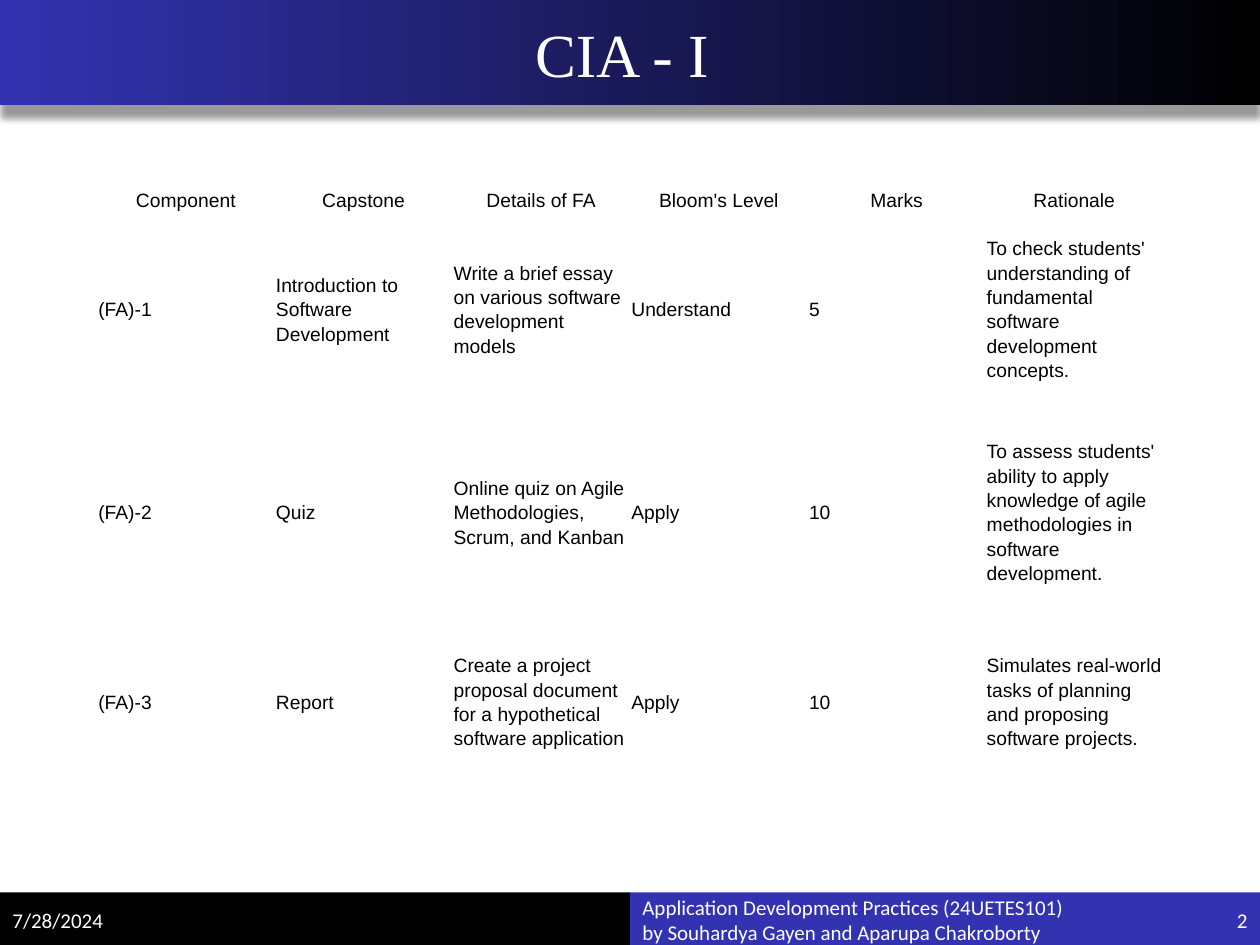
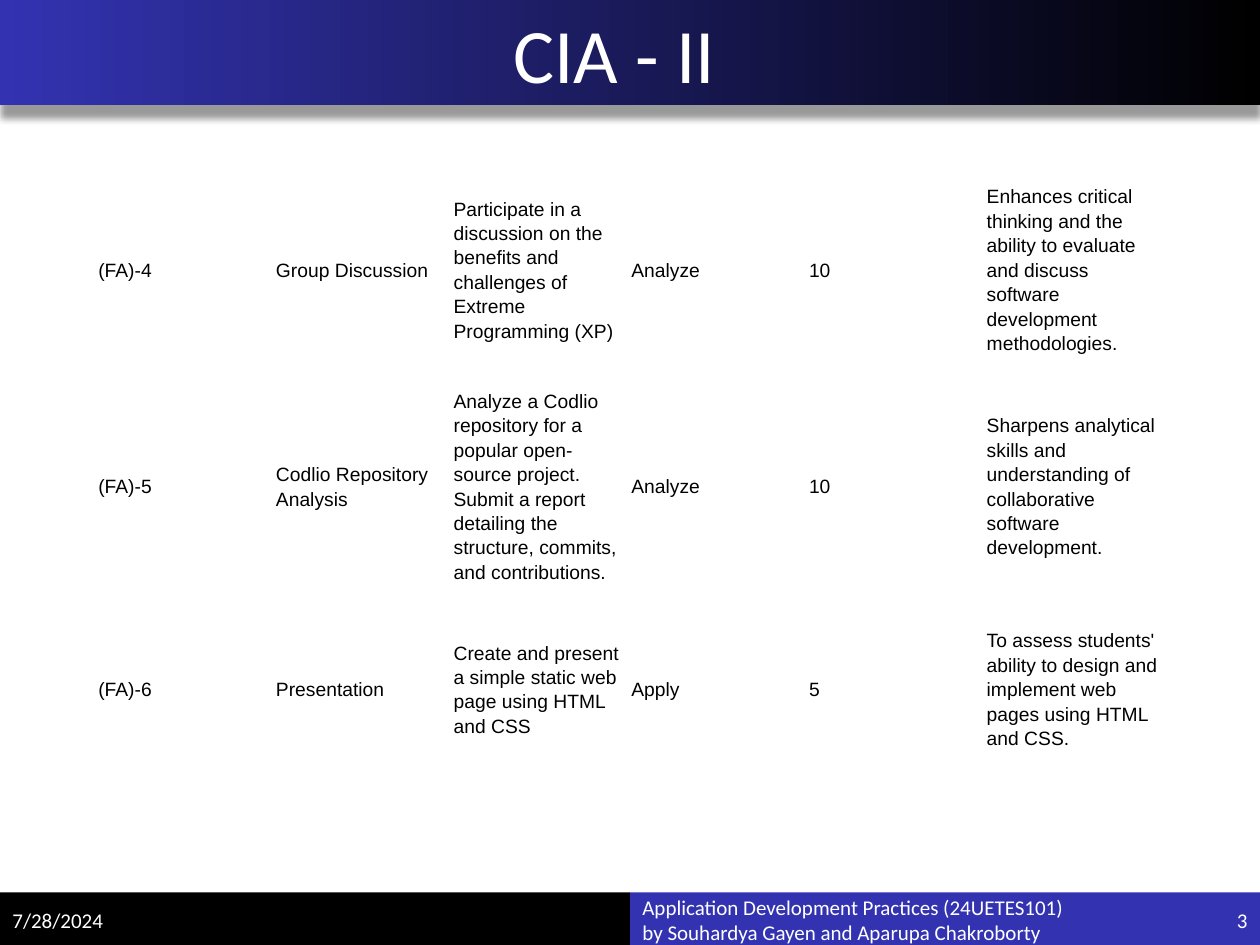
from dataclasses import dataclass

from lxml.etree import SubElement
from pptx import Presentation
from pptx.dml.color import RGBColor as Rgb
from pptx.enum.shapes import MSO_SHAPE as Kind
from pptx.enum.text import MSO_ANCHOR as Anchor, PP_ALIGN as Align
from pptx.oxml.ns import qn
from pptx.shapes.autoshape import Shape
from pptx.slide import Slide
from pptx.util import Pt


@dataclass(frozen=True)
class Theme:
    blue: Rgb = Rgb(0x33, 0x33, 0xB2)
    black: Rgb = Rgb(0, 0, 0)
    white: Rgb = Rgb(255, 255, 255)
    sans: str = "Calibri"
    serif: str = "Times New Roman"
    body: str = "Arial"
    foot_size: float = 12
    cell_size: float = 11


@dataclass(frozen=True)
class Box:
    left: float
    top: float
    width: float
    height: float

    def place(self) -> tuple[Pt, ...]:
        return tuple(Pt(n) for n in (self.left, self.top, self.width, self.height))


@dataclass(frozen=True)
class Label:
    box: Box
    lines: tuple[str, ...]
    size: float
    font: str
    align: Align = Align.LEFT


@dataclass(frozen=True)
class Page:
    number: int
    title: str
    font: str
    size: float
    top: float
    heights: tuple[float, ...]
    rows: tuple[tuple[str, ...], ...]
    header: bool = False


THEME = Theme()
WIDTH, HEIGHT = 720, 540
HALF = WIDTH / 2
BAR = Box(0, 0, WIDTH, 60)
TITLE = Box(0, 0, 702, 60)
FOOT_TOP, FOOT_HIGH = 511.2, 28.8
SIDE = 84
TABLE_LEFT, COL_WIDTH = 55.44, 101.56
CELL_GAP = 0.72
DATE = "7/28/2024"
COURSE = (
    "Application Development Practices (24UETES101)",
    "by Souhardya Gayen and Aparupa Chakroborty",
)

PAGES = (
    Page(2, " CIA - I", THEME.serif, 35, 105.84, (15.84, 108, 123.84, 92.88), (
        ("Component", "Capstone", "Details of FA", "Bloom's Level", "Marks", "Rationale"),
        ("(FA)-1", "Introduction to Software Development",
         "Write a brief essay on various software development models",
         "Understand", "5",
         "To check students' understanding of fundamental software development concepts."),
        ("(FA)-2", "Quiz", "Online quiz on Agile Methodologies, Scrum, and Kanban",
         "Apply", "10",
         "To assess students' ability to apply knowledge of agile methodologies "
         "in software development."),
        ("(FA)-3", "Report",
         "Create a project proposal document for a hypothetical software application",
         "Apply", "10",
         "Simulates real-world tasks of planning and proposing software projects."),
    ), header=True),
    Page(3, "CIA - II", THEME.sans, 44, 99.36, (108.72, 138.96, 92.88), (
        ("(FA)-4", "Group Discussion",
         "Participate in a discussion on the benefits and challenges of "
         "Extreme Programming (XP)",
         "Analyze", "10",
         "Enhances critical thinking and the ability to evaluate and discuss "
         "software development methodologies."),
        ("(FA)-5", "Codlio Repository Analysis",
         "Analyze a Codlio repository for a popular open-source project. "
         "Submit a report detailing the structure, commits, and contributions.",
         "Analyze", "10",
         "Sharpens analytical skills and understanding of collaborative "
         "software development."),
        ("(FA)-6", "Presentation",
         "Create and present a simple static web page using HTML and CSS",
         "Apply", "5",
         "To assess students' ability to design and implement web pages "
         "using HTML and CSS."),
    )),
)


def add_band(slide: Slide, box: Box, color: Rgb) -> Shape:
    band = slide.shapes.add_shape(Kind.RECTANGLE, *box.place())
    band.shadow.inherit = False
    band.line.fill.background()
    band.fill.solid()
    band.fill.fore_color.rgb = color
    return band


def add_shadow(shape: Shape) -> None:
    """Cast a soft black shadow straight down."""
    effects = shape._element.spPr.find(qn("a:effectLst"))
    outer = SubElement(effects, qn("a:outerShdw"), blurRad=str(Pt(4)), dist=str(Pt(7)),
                       dir="5400000", algn="t", rotWithShape="0")
    color = SubElement(outer, qn("a:srgbClr"), val=str(THEME.black))
    SubElement(color, qn("a:alpha"), val="40000")


def add_bands(slide: Slide) -> None:
    bar = add_band(slide, BAR, THEME.blue)
    bar.fill.gradient()
    bar.fill.gradient_angle = 180
    for stop, color in zip(bar.fill.gradient_stops, (THEME.black, THEME.blue)):
        stop.color.rgb = color
    add_shadow(bar)
    for left, color in ((HALF, THEME.blue), (0, THEME.black)):
        add_band(slide, Box(left, 510, HALF, 30), color)


def add_label(slide: Slide, label: Label) -> None:
    frame = slide.shapes.add_textbox(*label.box.place()).text_frame
    frame.word_wrap = True
    frame.vertical_anchor = Anchor.MIDDLE
    frame.text = "\n".join(label.lines)
    for para in frame.paragraphs:
        para.alignment = label.align
        para.font.name = label.font
        para.font.size = Pt(label.size)
        para.font.color.rgb = THEME.white


def add_footer(slide: Slide, number: int) -> None:
    parts = (
        (0, SIDE, (DATE,), Align.LEFT),
        (HALF, HALF - SIDE, COURSE, Align.LEFT),
        (WIDTH - SIDE, SIDE, (str(number),), Align.RIGHT),
    )
    for left, width, lines, align in parts:
        box = Box(left, FOOT_TOP, width, FOOT_HIGH)
        add_label(slide, Label(box, lines, THEME.foot_size, THEME.sans, align))


def add_plan(slide: Slide, page: Page) -> None:
    """Add the borderless assessment table."""
    cols = len(page.rows[0])
    box = Box(TABLE_LEFT, page.top, cols * COL_WIDTH, sum(page.heights))
    table = slide.shapes.add_table(len(page.rows), cols, *box.place()).table
    table.first_row = table.horz_banding = False
    for col in table.columns:
        col.width = Pt(COL_WIDTH)
    for i, (row, high) in enumerate(zip(page.rows, page.heights)):
        table.rows[i].height = Pt(high)
        for j, text in enumerate(row):
            cell = table.cell(i, j)
            cell.fill.background()
            cell.vertical_anchor = Anchor.MIDDLE
            cell.margin_left = cell.margin_right = Pt(CELL_GAP)
            cell.margin_top = cell.margin_bottom = Pt(CELL_GAP)
            cell.text = text
            para = cell.text_frame.paragraphs[0]
            para.alignment = Align.CENTER if page.header and i == 0 else Align.LEFT
            para.line_spacing = 1.14
            para.space_after = Pt(10)
            para.font.name = THEME.body
            para.font.size = Pt(THEME.cell_size)
            para.font.color.rgb = THEME.black


def main() -> None:
    deck = Presentation()
    deck.slide_width, deck.slide_height = Pt(WIDTH), Pt(HEIGHT)
    for page in PAGES:
        slide = deck.slides.add_slide(deck.slide_layouts[6])
        add_bands(slide)
        add_label(slide, Label(TITLE, (page.title,), page.size, page.font, Align.CENTER))
        add_footer(slide, page.number)
        add_plan(slide, page)
    deck.save("out.pptx")


if __name__ == "__main__":
    main()
